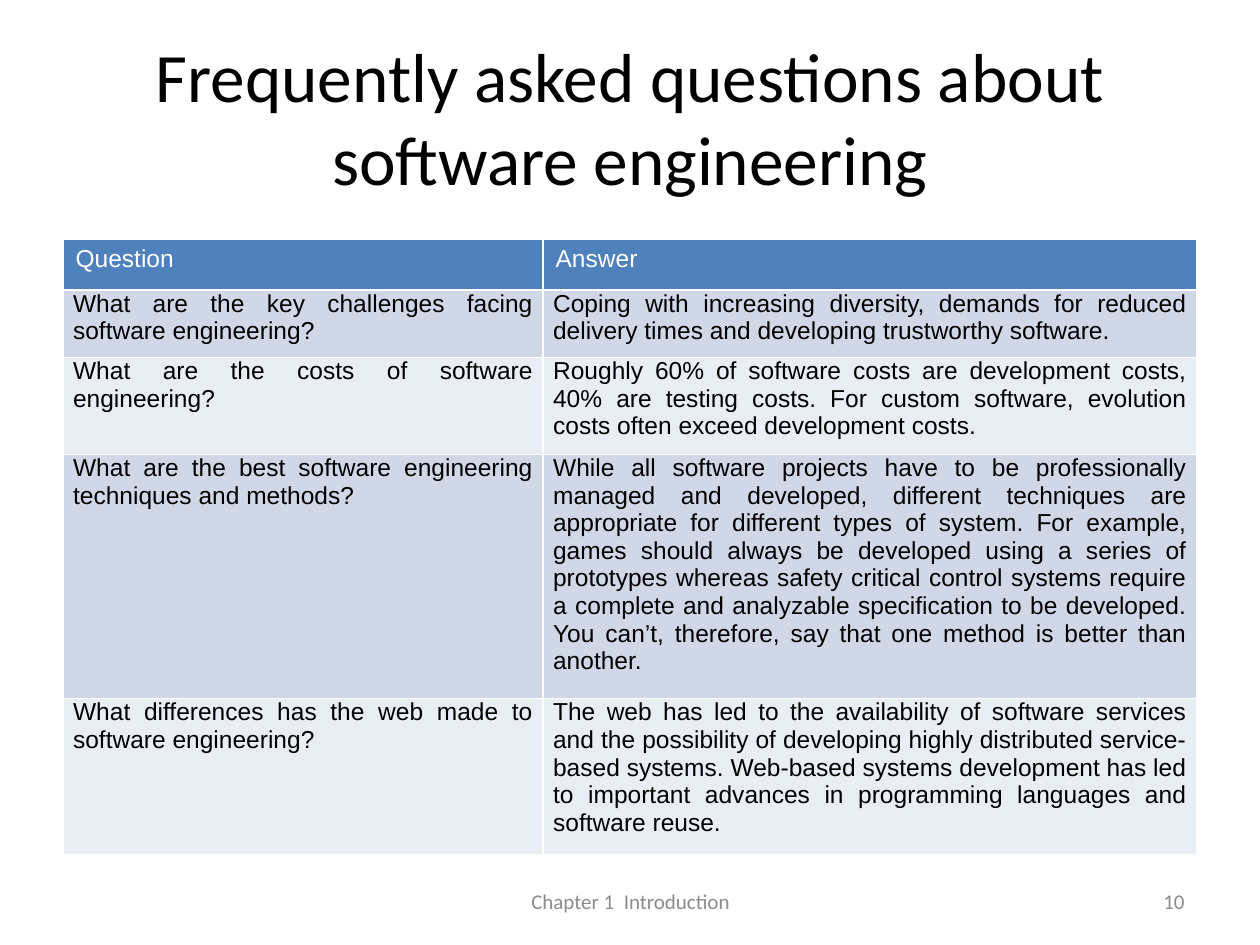
from dataclasses import dataclass

from pptx import Presentation
from pptx.dml.color import RGBColor as Rgb
from pptx.enum.text import MSO_ANCHOR as Anchor, PP_ALIGN as Align
from pptx.util import Inches, Pt

COLORS = {
    "ink": "000000",
    "white": "FFFFFF",
    "grey": "8C8C8C",
    "head": "4F81BD",
    "odd": "D0D8E8",
    "even": "E9EDF4",
}


@dataclass
class Label:
    text: str
    left: float
    top: float
    width: float
    height: float
    size: float
    color: str
    align: Align


@dataclass
class Faq:
    query: str
    answer: str
    height: float


LABELS = [
    Label("Frequently asked questions about software engineering",
          0.5, 0.3, 9, 1.25, 39.6, "ink", Align.CENTER),
    Label("Chapter 1  Introduction", 3.42, 6.95, 3.17, 0.4, 12, "grey", Align.CENTER),
    Label("10", 7.17, 6.95, 2.33, 0.4, 12, "grey", Align.RIGHT),
]

FAQS = [
    Faq("Question", "Answer", 0.4),
    Faq("What are the key challenges facing software engineering?",
        "Coping with increasing diversity, demands for reduced delivery times "
        "and developing trustworthy software.", 0.51),
    Faq("What are the costs of software engineering?",
        "Roughly 60% of software costs are development costs, 40% are testing "
        "costs. For custom software, evolution costs often exceed development "
        "costs.", 0.73),
    Faq("What are the best software engineering techniques and methods?",
        "While all software projects have to be professionally managed and "
        "developed, different techniques are appropriate for different types "
        "of system. For example, games should always be developed using a "
        "series of prototypes whereas safety critical control systems require "
        "a complete and analyzable specification to be developed. You can’t, "
        "therefore, say that one method is better than another.", 1.83),
    Faq("What differences has the web made to software engineering?",
        "The web has led to the availability of software services and the "
        "possibility of developing highly distributed service-based systems. "
        "Web-based systems development has led to important advances in "
        "programming languages and software reuse.", 1.17),
]
WIDTHS = [3.81, 5.19]


def style(para, face: str, size: float, color: str, align: Align) -> None:
    para.alignment = align
    font = para.font
    font.name, font.size, font.bold = face, Pt(size), False
    font.color.rgb = Rgb.from_string(COLORS[color])


def add_label(slide, item: Label) -> None:
    box = slide.shapes.add_textbox(Inches(item.left), Inches(item.top),
                                   Inches(item.width), Inches(item.height))
    frame = box.text_frame
    frame.word_wrap = True
    frame.vertical_anchor = Anchor.MIDDLE
    frame.text = item.text
    style(frame.paragraphs[0], "Calibri", item.size, item.color, item.align)


def fill_cell(cell, text: str, row: int) -> None:
    head = row == 0
    shade = "head" if head else "odd" if row % 2 else "even"
    cell.fill.solid()
    cell.fill.fore_color.rgb = Rgb.from_string(COLORS[shade])
    cell.text = text
    if not head:
        cell.margin_left = cell.margin_right = Inches(0.08)
        cell.margin_top, cell.margin_bottom = Inches(0), Inches(0.07)
    style(cell.text_frame.paragraphs[0], "Arial", 14,
          "white" if head else "ink", Align.LEFT if head else Align.JUSTIFY)


def add_faqs(slide, faqs: list[Faq]) -> None:
    total = sum(faq.height for faq in faqs)
    table = slide.shapes.add_table(len(faqs), len(WIDTHS), Inches(0.5), Inches(1.9),
                                   Inches(sum(WIDTHS)), Inches(total)).table
    for col, width in zip(table.columns, WIDTHS):
        col.width = Inches(width)
    for row, faq in enumerate(faqs):
        table.rows[row].height = Inches(faq.height)
        for col, text in enumerate((faq.query, faq.answer)):
            fill_cell(table.cell(row, col), text, row)


def main() -> None:
    deck = Presentation()
    deck.slide_width, deck.slide_height = Inches(10), Inches(7.5)
    slide = deck.slides.add_slide(deck.slide_layouts[6])

    # Title and footer
    for item in LABELS:
        add_label(slide, item)

    # Questions and answers
    add_faqs(slide, FAQS)

    deck.save("out.pptx")


if __name__ == "__main__":
    main()
